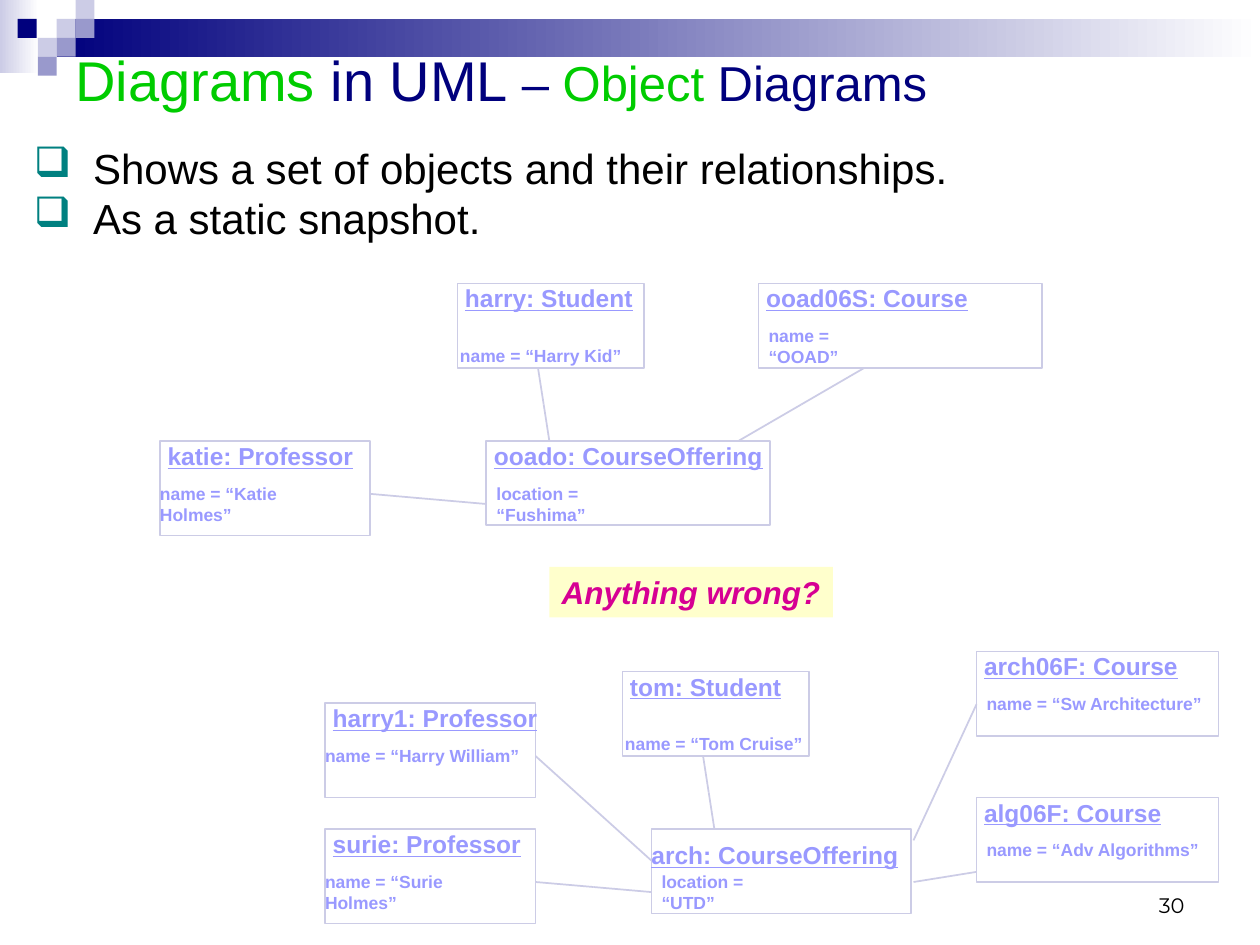
from lxml.etree import SubElement
from pptx import Presentation
from pptx.dml.color import RGBColor
from pptx.enum.shapes import MSO_CONNECTOR, MSO_SHAPE
from pptx.enum.text import MSO_ANCHOR, PP_ALIGN
from pptx.oxml.ns import qn
from pptx.util import Inches, Pt

NAVY, GREEN, BLACK = "00007D", "00CC00", "000000"
PALE, MAUVE, LAVENDER = "CCCCE6", "9999CC", "9999FF"

BANDS = [((0, 0, 0.31, 0.58), PALE), ((0.45, 0.15, 9.55, 0.3), NAVY)]
TILE = 0.15
TILES = [
    (0.45, 0.15, PALE), (0.6, 0, PALE), (0.6, 0.15, MAUVE), (0.3, 0.3, PALE),
    (0.14, 0.15, NAVY), (0.45, 0.3, MAUVE), (0.3, 0.45, MAUVE),
]
TITLE = [
    ("Diagrams", 32, GREEN), (" in UML ", 32, NAVY), ("– ", 28, NAVY),
    ("Object", 28, GREEN), (" Diagrams", 28, NAVY),
]
BULLETS = ["Shows a set of objects and their relationships.", "As a static snapshot."]

# box, name, (name offset x, y, width), attribute, (attribute offset x, y, width)
OBJECTS = [
    ((3.63, 2.25, 1.48, 0.67), "harry: Student", (0.06, 0, 1.5),
     "name = “Harry Kid”", (0.02, 0.49, 1.28)),
    ((1.27, 3.5, 1.67, 0.75), "katie: Professor", (0.06, 0, 1.61),
     "name = “Katie Holmes”", (0, 0.33, 1.53)),
    ((3.86, 3.5, 2.25, 0.67), "ooado: CourseOffering", (0.06, 0, 2.19),
     "location = “Fushima”", (0.08, 0.33, 1.28)),
    ((4.94, 5.33, 1.48, 0.67), "tom: Student", (0.06, 0, 1.5),
     "name = “Tom Cruise”", (0.02, 0.49, 1.42)),
    ((2.58, 6.58, 1.67, 0.75), "surie: Professor", (0.06, 0, 1.61),
     "name = “Surie Holmes”", (0, 0.33, 1.54)),
    ((5.17, 6.58, 2.06, 0.67), "arch: CourseOffering", (0, 0.09, 2.19),
     "location = “UTD”", (0.08, 0.33, 1.11)),
    ((6.02, 2.25, 2.25, 0.67), "ooad06S: Course", (0.06, 0, 2.19),
     "name = “OOAD”", (0.08, 0.33, 1.07)),
    ((2.58, 5.58, 1.67, 0.75), "harry1: Professor", (0.06, 0, 1.69),
     "name = “Harry William”", (0, 0.33, 1.54)),
    ((7.75, 5.17, 1.92, 0.67), "arch06F: Course", (0.06, 0, 1.69),
     "name = “Sw Architecture”", (0.08, 0.33, 1.71)),
    ((7.75, 6.33, 1.92, 0.67), "alg06F: Course", (0.06, 0, 1.69),
     "name = “Adv Algorithms”", (0.08, 0.33, 1.69)),
]
LINKS = [
    ((3.86, 4), (2.94, 3.92)), ((4.36, 3.5), (4.27, 2.92)),
    ((5.17, 7.08), (4.25, 7)), ((5.67, 6.58), (5.58, 6)),
    ((5.86, 3.5), (6.86, 2.92)), ((5.17, 6.83), (4.25, 6)),
    ((7.75, 5.59), (7.25, 6.67)), ((7.75, 6.92), (7.25, 7)),
]


def color(value):
    return RGBColor.from_string(value)


def add_rect(page, place, fill=None, line=None, fade=False):
    """Add a rectangle; fade runs its fill from left to white at the right."""
    rect = page.shapes.add_shape(MSO_SHAPE.RECTANGLE, *map(Inches, place))
    rect.shadow.inherit = False
    if fade:
        rect.fill.gradient()
        rect.fill.gradient_angle = 0
        for stop, shade in zip(rect.fill.gradient_stops, (fill, "FFFFFF")):
            stop.color.rgb = color(shade)
    elif fill:
        rect.fill.solid()
        rect.fill.fore_color.rgb = color(fill)
    else:
        rect.fill.background()
    if line:
        rect.line.color.rgb = color(line)
        rect.line.width = Pt(1)
    else:
        rect.line.fill.background()
    return rect


def add_box(page, place, inset=True, wrap=True, anchor=MSO_ANCHOR.TOP):
    frame = page.shapes.add_textbox(*map(Inches, place)).text_frame
    frame.word_wrap = wrap
    frame.vertical_anchor = anchor
    if not inset:
        frame.margin_left = frame.margin_right = 0
        frame.margin_top = frame.margin_bottom = 0
    return frame


def add_span(para, text, size, shade, font="Arial", bold=False, italic=False, underline=False):
    span = para.add_run()
    span.text = text
    span.font.name = font
    span.font.size = Pt(size)
    span.font.color.rgb = color(shade)
    span.font.bold, span.font.italic, span.font.underline = bold, italic, underline


def add_bullet(para, mark, shade, indent):
    props = para._p.get_or_add_pPr()
    props.set("marL", str(Inches(indent)))
    props.set("indent", str(-Inches(indent)))
    SubElement(SubElement(props, qn("a:buClr")), qn("a:srgbClr"), val=shade)
    SubElement(props, qn("a:buChar"), char=mark)


def add_object(page, place, name, name_spot, attribute, attribute_spot):
    left, top = place[:2]
    add_rect(page, place, line=PALE)
    for text, (dx, dy, width), height, size, is_name in (
        (name, name_spot, 0.23, 14, True),
        (attribute, attribute_spot, 0.17, 10, False),
    ):
        frame = add_box(page, (left + dx, top + dy, width, height), inset=False, wrap=is_name)
        add_span(frame.paragraphs[0], text, size, LAVENDER, bold=True, underline=is_name)


def add_link(page, start, end):
    """Draw a link as two halves that leave its middle."""
    middle = [(a + b) / 2 for a, b in zip(start, end)]
    for tip in (start, end):
        half = page.shapes.add_connector(MSO_CONNECTOR.STRAIGHT, *map(Inches, (*middle, *tip)))
        half.line.color.rgb = color(PALE)
        half.line.width = Pt(1)
        SubElement(half._element.spPr, qn("a:effectLst"))


def main():
    deck = Presentation()
    deck.slide_width, deck.slide_height = Inches(10), Inches(7.5)
    page = deck.slides.add_slide(deck.slide_layouts[6])

    for place, shade in BANDS:
        add_rect(page, place, shade, fade=True)
    for left, top, shade in TILES:
        add_rect(page, (left, top, TILE, TILE), shade)

    number = add_box(page, (7.17, 6.83, 2.33, 0.5), anchor=MSO_ANCHOR.BOTTOM).paragraphs[0]
    number.alignment = PP_ALIGN.RIGHT
    add_span(number, "30", 12, BLACK, font="Montserrat")

    title = add_box(page, (0.5, 0.25, 9, 0.75), anchor=MSO_ANCHOR.MIDDLE).paragraphs[0]
    for text, size, shade in TITLE:
        add_span(title, text, size, shade)

    body = add_box(page, (0.17, 1.08, 8.58, 0.9))
    for index, text in enumerate(BULLETS):
        para = body.add_paragraph() if index else body.paragraphs[0]
        add_bullet(para, "❑", "008080", 0.47)
        add_span(para, text, 24, BLACK)

    for item in OBJECTS:
        add_object(page, *item)
    for start, end in LINKS:
        add_link(page, start, end)

    question = add_rect(page, (4.36, 4.5, 2.25, 0.4), "FFFFCC").text_frame
    question.word_wrap = False
    question.paragraphs[0].alignment = PP_ALIGN.CENTER
    add_span(question.paragraphs[0], "Anything wrong?", 18, "D60093", bold=True, italic=True)

    deck.save("out.pptx")


if __name__ == "__main__":
    main()
